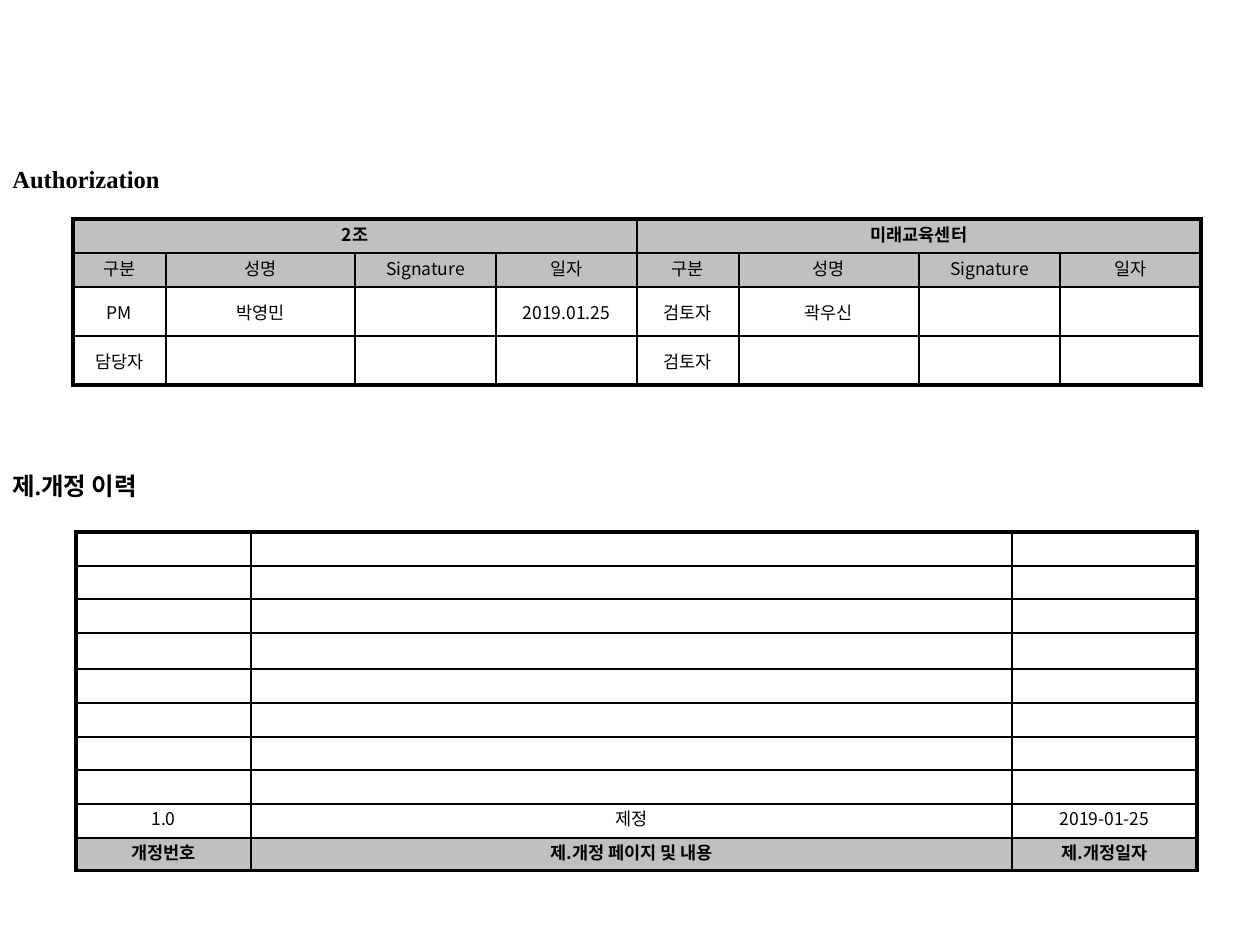
from lxml.etree import SubElement
from pptx import Presentation
from pptx.dml.color import RGBColor
from pptx.enum.text import MSO_ANCHOR as Anchor, MSO_AUTO_SIZE as AutoSize, PP_ALIGN as Align
from pptx.oxml.ns import qn
from pptx.util import Emu, Pt

BLACK = RGBColor(0x00, 0x00, 0x00)
GRAY = RGBColor(0xC0, 0xC0, 0xC0)
SANS = "Noto Sans CJK KR"
SERIF = "Times New Roman"
THIN, THICK = Pt(1), Pt(2.25)

PERSON_FIELDS = ["구분", "성명", "Signature", "일자"]
AUTHORIZATION = [
    ["2조", "", "", "", "미래교육센터", "", "", ""],
    PERSON_FIELDS * 2,
    ["PM", "박영민", "", "2019.01.25", "검토자", "곽우신", "", ""],
    ["담당자", "", "", "", "검토자", "", "", ""],
]
REVISIONS = [["", "", ""]] * 8 + [
    ["1.0", "제정", "2019-01-25"],
    ["개정번호", "제.개정 페이지 및 내용", "제.개정일자"],
]


def px(length):
    """Turn pixels at 126 to the inch into EMU."""
    return Emu(round(length * 914400 / 126))


def apply(target, values):
    """Set each attribute named in a dict of format values."""
    for name, value in values.items():
        setattr(target, name, value)


def write(paragraph, text, size, latin, bold):
    """Add one formatted run to a paragraph."""
    run = paragraph.add_run()
    run.text = text
    apply(run.font, {"size": Pt(size), "name": latin, "bold": bold})
    run.font.color.rgb = BLACK
    SubElement(run.font._element, qn("a:ea"), typeface=SANS)


def add_heading(slide, top, text):
    """Add a full-width section heading."""
    heading = slide.shapes.add_textbox(0, px(top), px(1260), px(42))
    apply(heading.text_frame, {"word_wrap": True, "auto_size": AutoSize.SHAPE_TO_FIT_TEXT})
    write(heading.text_frame.paragraphs[0], text, 14, SERIF, True)


def add_border(cell, side, width):
    """Draw one solid black side of a cell."""
    line = SubElement(cell._tc.get_or_add_tcPr(), qn(f"a:ln{side}"), w=str(width))
    solid = SubElement(line, qn("a:solidFill"))
    SubElement(solid, qn("a:srgbClr"), val=str(BLACK))


def fill_cell(cell, text, bold, shaded, anchor):
    """Give a cell its background, spacing and centred text."""
    apply(cell, {"margin_top": px(2), "margin_bottom": px(1), "vertical_anchor": anchor})
    if shaded:
        cell.fill.solid()
        cell.fill.fore_color.rgb = GRAY
    else:
        cell.fill.background()
    paragraph = cell.text_frame.paragraphs[0]
    apply(paragraph, {"alignment": Align.CENTER, "space_before": Pt(2)})
    if text:
        write(paragraph, text, 10, SANS, bold)
    else:
        SubElement(paragraph._p, qn("a:endParaRPr"), sz="1000")


def add_grid(slide, left, top, widths, heights, content, bold_row, shaded_rows, middle_rows=(), spans=()):
    """Add a table with a thick frame and thin inner lines."""
    frame = slide.shapes.add_table(
        len(heights), len(widths), px(left), px(top), px(sum(widths)), px(sum(heights)))
    grid = frame.table
    apply(grid, {"first_row": False, "horz_banding": False})
    for column, width in zip(grid.columns, widths):
        column.width = px(width)
    for row, height in zip(grid.rows, heights):
        row.height = px(height)
    for first, last in spans:
        grid.cell(0, first).merge(grid.cell(0, last))
    for r, texts in enumerate(content):
        for c, text in enumerate(texts):
            cell = grid.cell(r, c)
            reach = cell.span_width if cell.is_merge_origin else 1
            on_frame = {"L": c == 0, "R": c + reach == len(widths),
                        "T": r == 0, "B": r == len(heights) - 1}
            for side, outer in on_frame.items():
                add_border(cell, side, THICK if outer else THIN)
            anchor = Anchor.MIDDLE if r in middle_rows else Anchor.TOP
            fill_cell(cell, text, r == bold_row, r in shaded_rows, anchor)


def main():
    """Build the authorization and revision history slide."""
    deck = Presentation()
    apply(deck, {"slide_width": px(1260), "slide_height": px(945)})
    slide = deck.slides.add_slide(deck.slide_layouts[6])
    add_heading(slide, 158, "Authorization")
    add_grid(slide, 76, 532, [175, 761, 185], [34, 33, 34, 36, 34, 34, 33, 34, 34, 33],
             REVISIONS, bold_row=9, shaded_rows=[9])
    add_heading(slide, 465, "제.개정 이력")
    add_grid(slide, 73, 219, [93, 189, 141, 141, 102, 180, 141, 141], [34, 34, 49, 49],
             AUTHORIZATION, bold_row=0, shaded_rows=[0, 1], middle_rows=[2, 3],
             spans=[(0, 3), (4, 7)])
    deck.save("out.pptx")


if __name__ == "__main__":
    main()
